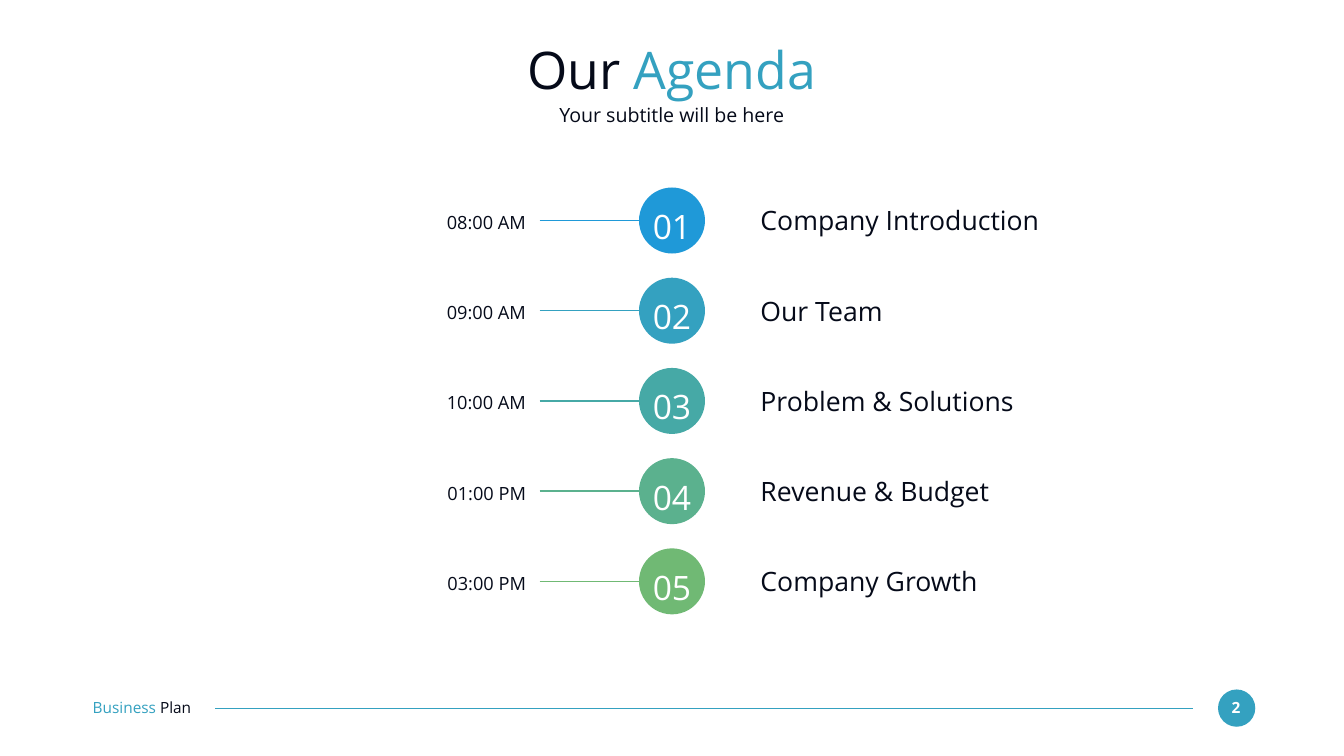
from lxml import etree
from pptx import Presentation
from pptx.dml.color import RGBColor
from pptx.enum.shapes import MSO_CONNECTOR, MSO_SHAPE
from pptx.enum.text import MSO_ANCHOR, PP_ALIGN
from pptx.oxml.ns import qn
from pptx.util import Inches, Pt

LEFT, CENTER, RIGHT = PP_ALIGN.LEFT, PP_ALIGN.CENTER, PP_ALIGN.RIGHT
MIDDLE = MSO_ANCHOR.MIDDLE
STRAIGHT = MSO_CONNECTOR.STRAIGHT
OVAL = MSO_SHAPE.OVAL

FONT = "Open Sans"
COLORS = {
    "ink": "050A19",
    "white": "FFFFFF",
    "blue": "1F99D8",
    "accent": "34A1C0",
    "teal": "46A9A6",
    "mint": "5BB18E",
    "green": "70B974",
}
AGENDA = [
    ("08:00 AM", "Company Introduction", "blue"),
    ("09:00 AM", "Our Team", "accent"),
    ("10:00 AM", "Problem & Solutions", "teal"),
    ("01:00 PM", "Revenue & Budget", "mint"),
    ("03:00 PM", "Company Growth", "green"),
]
FIRST_TOP, ROW_PITCH, CIRCLE = 3.72, 1.79, 1.31


def rgb(name):
    return RGBColor.from_string(COLORS[name])


def write(sp, parts, size, align=LEFT, spacing=None, bold=False):
    """Fill a text shape with one paragraph of (text, colour) parts."""
    tf = sp.text_frame
    tf.word_wrap = True
    tf.vertical_anchor = MIDDLE
    tf.margin_left = tf.margin_right = tf.margin_top = tf.margin_bottom = 0
    p = tf.paragraphs[0]
    p.alignment = align
    if spacing:
        p.line_spacing = spacing
    for text, color in parts:
        r = p.add_run()
        r.text = text
        r.font.name = FONT
        r.font.size = Pt(size)
        r.font.bold = bold
        r.font.color.rgb = rgb(color)


def add_text(s, x, y, w, h, parts, size, **style):
    sp = s.shapes.add_textbox(Inches(x), Inches(y), Inches(w), Inches(h))
    write(sp, parts, size, **style)


def add_circle(s, x, y, d, color):
    sp = s.shapes.add_shape(OVAL, Inches(x), Inches(y), Inches(d), Inches(d))
    sp.shadow.inherit = False
    sp.fill.solid()
    sp.fill.fore_color.rgb = rgb(color)
    sp.line.fill.background()


def add_rule(s, x1, x2, y, color, width):
    line = s.shapes.add_connector(STRAIGHT, Inches(x1), Inches(y), Inches(x2), Inches(y))
    line.line.color.rgb = rgb(color)
    line.line.width = Pt(width)
    etree.SubElement(line._element.spPr, qn("a:effectLst"))


def add_heading(s):
    title = s.shapes.title
    title.left, title.top = Inches(1.83), Inches(0.73)
    title.width, title.height = Inches(23), Inches(1.27)
    write(title, [("Our ", "ink"), ("Agenda", "accent")], 74, align=CENTER)
    add_text(s, 1.83, 2.03, 23, 0.49, [("Your subtitle will be here", "ink")], 28, align=CENTER)


def add_agenda_row(s, index, time, topic, color):
    top = FIRST_TOP + index * ROW_PITCH
    add_circle(s, 12.68, top, CIRCLE, color)
    add_rule(s, 10.71, 12.68, top + CIRCLE / 2, color, 2.25)
    add_text(s, 12.82, top + 0.2, 1.03, 0.97, [(f"{index + 1:02}", "white")], 48,
             align=CENTER, spacing=1.2)
    add_text(s, 6.9, top + 0.36, 3.54, 0.53, [(time, "ink")], 26, align=RIGHT, spacing=1.3)
    add_text(s, 15.09, top + 0.33, 6.29, 0.64, [(topic, "ink")], 38)


def add_footer(s):
    add_circle(s, 24.17, 13.68, 0.74, "accent")
    add_text(s, 24.23, 13.85, 0.59, 0.37, [("2", "white")], 22, align=CENTER, bold=True)
    add_rule(s, 23.67, 4.27, 14.05, "accent", 1.5)
    add_text(s, 1.84, 13.84, 2.59, 0.37, [("Business ", "accent"), ("Plan", "ink")], 22)


def main():
    prs = Presentation()
    prs.slide_width, prs.slide_height = Inches(26.67), Inches(15)
    s = prs.slides.add_slide(prs.slide_layouts[5])  # title only
    s.background.fill.solid()
    s.background.fill.fore_color.rgb = rgb("white")

    add_footer(s)
    add_heading(s)
    # Timeline: one row per agenda item
    for index, (time, topic, color) in enumerate(AGENDA):
        add_agenda_row(s, index, time, topic, color)

    prs.save("out.pptx")


if __name__ == "__main__":
    main()
